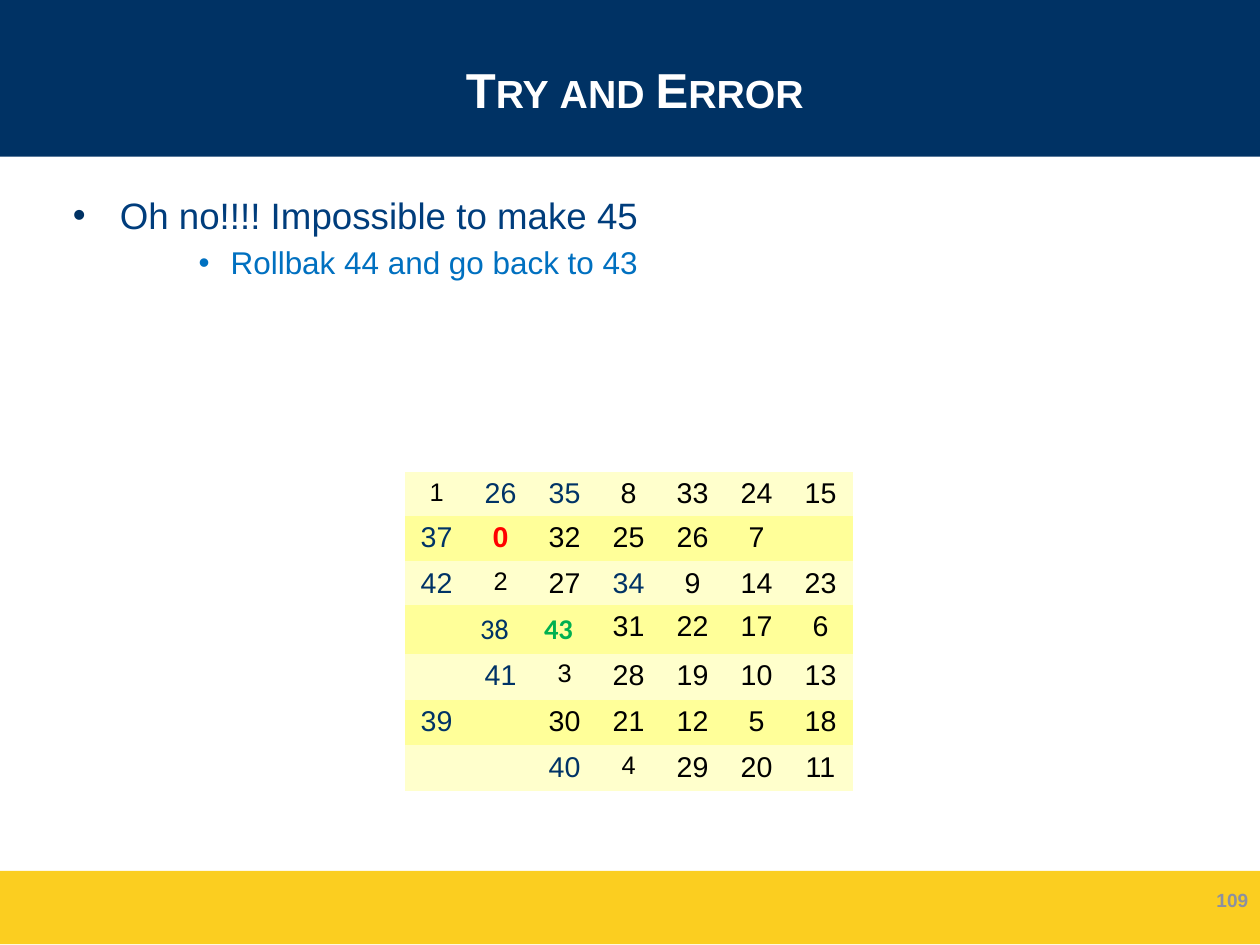
from dataclasses import dataclass

import pptx
import pptx.dml.color
import pptx.enum.shapes
import pptx.enum.text
import pptx.oxml
import pptx.oxml.ns
import pptx.util

Inches = pptx.util.Inches
Pt = pptx.util.Pt
RGBColor = pptx.dml.color.RGBColor
Align = pptx.enum.text.PP_ALIGN
Anchor = pptx.enum.text.MSO_ANCHOR

WHITE = RGBColor(0xFF, 0xFF, 0xFF)
BLACK = RGBColor(0x00, 0x00, 0x00)
NAVY = RGBColor(0x00, 0x32, 0x64)
GOLD = RGBColor(0xFB, 0xCE, 0x20)
BLUE = RGBColor(0x00, 0x3D, 0x7C)
SKY = RGBColor(0x00, 0x70, 0xC0)
GREY = RGBColor(0x8C, 0x90, 0xA0)
INK = RGBColor(0x00, 0x33, 0x66)
RED = RGBColor(0xFF, 0x00, 0x00)
GREEN = RGBColor(0x00, 0xB0, 0x50)
PALE = RGBColor(0xFF, 0xFF, 0xCC)
YELLOW = RGBColor(0xFF, 0xFF, 0x99)

WIDTH, HEIGHT = Pt(793.75), Pt(595.25)
NO_STYLE = "{2D5ABB26-0587-4C30-8999-92F81FD0307C}"


@dataclass
class Band:
    top: float
    height: float
    color: RGBColor


@dataclass
class Style:
    size: float
    color: RGBColor
    bold: bool = False
    face: str = "Arial"


@dataclass
class Bullet:
    text: str
    level: int
    left: float
    hang: float
    before: float
    dot: RGBColor
    style: Style


BANDS = [Band(0, 1.37, NAVY), Band(7.62, 0.64, GOLD)]
BULLETS = [
    Bullet("Oh no!!!! Impossible to make 45", 0, 0.41, 0.41, 0, NAVY,
           Style(23.1, BLUE)),
    Bullet("Rollbak 44 and go back to 43", 2, 1.38, 0.28, 4, SKY,
           Style(19.8, SKY)),
]
PLAIN = Style(18, BLACK)
MARKS = {
    "s": Style(16, BLACK),
    "n": Style(18, INK),
    "r": Style(18, RED, True),
    "c": Style(18, INK, face="Calibri"),
    "g": Style(18, GREEN, True, "Calibri"),
}
GRID = [
    "1s 26n 35n 8 33 24 15",
    "37n 0r 32 25 26 7 -",
    "42n 2s 27 34n 9 14 23",
    "- 38c 43g 31 22 17 6",
    "- 41n 3s 28 19 10 13",
    "39n - 30 21 12 5 18",
    "- - 40n 4s 29 20 11",
]
ROWS = [0.38, 0.4, 0.38, 0.43, 0.4, 0.4, 0.4]


def format_font(font: pptx.text.text.Font, style: Style) -> None:
    font.name = style.face
    font.size = Pt(style.size)
    font.bold = style.bold
    font.color.rgb = style.color


def add_band(slide: pptx.slide.Slide, band: Band) -> None:
    shape = slide.shapes.add_shape(
        pptx.enum.shapes.MSO_SHAPE.RECTANGLE, 0, Inches(band.top),
        WIDTH, Inches(band.height))
    shape.shadow.inherit = False
    shape.fill.solid()
    shape.fill.fore_color.rgb = band.color
    shape.line.fill.background()
    slide.shapes._spTree.insert(2, shape._element)


def set_title(slide: pptx.slide.Slide, text: str) -> None:
    title = slide.shapes.title
    title.left, title.top = Inches(0.54), Inches(0.18)
    title.width, title.height = Inches(10.03), Inches(1.19)
    frame = title.text_frame
    frame.text = text
    frame.vertical_anchor = Anchor.MIDDLE
    para = frame.paragraphs[0]
    para.alignment = Align.CENTER
    format_font(para.font, Style(30.9, WHITE, True))
    para.runs[0]._r.get_or_add_rPr().set("cap", "small")


def add_bullets(slide: pptx.slide.Slide, items: list[Bullet]) -> None:
    box = slide.shapes.add_textbox(
        Inches(0.54), Inches(1.64), Inches(10.03), Inches(6.03))
    frame = box.text_frame
    frame.word_wrap = True
    space = pptx.oxml.ns.nsdecls("a")
    for index, item in enumerate(items):
        para = frame.add_paragraph() if index else frame.paragraphs[0]
        para.text = item.text
        para.level = item.level
        para.space_before = Pt(item.before)
        props = para._p.get_or_add_pPr()
        props.set("marL", str(Inches(item.left)))
        props.set("indent", str(-Inches(item.hang)))
        for xml in (
            f'<a:buClr {space}><a:srgbClr val="{item.dot}"/></a:buClr>',
            f'<a:buFont {space} typeface="Arial"/>',
            f'<a:buChar {space} char="•"/>',
        ):
            props.append(pptx.oxml.parse_xml(xml))
        format_font(para.font, item.style)


def add_number(slide: pptx.slide.Slide, text: str) -> None:
    box = slide.shapes.add_textbox(
        Inches(8.45), Inches(7.66), Inches(2.57), Inches(0.44))
    frame = box.text_frame
    frame.word_wrap = True
    frame.vertical_anchor = Anchor.MIDDLE
    frame.text = text
    para = frame.paragraphs[0]
    para.alignment = Align.RIGHT
    para.line_spacing = 0.93
    format_font(para.font, Style(12, GREY, True))


def fill_cell(cell: pptx.table._Cell, token: str, color: RGBColor) -> None:
    cell.fill.solid()
    cell.fill.fore_color.rgb = color
    if token == "-":
        return
    style = MARKS.get(token[-1], PLAIN)
    cell.text = token.rstrip("".join(MARKS))
    cell.margin_left = cell.margin_right = Inches(0.1)
    cell.margin_top, cell.margin_bottom = Inches(0.07), Inches(0.03)
    para = cell.text_frame.paragraphs[0]
    if style.face == "Arial":
        para.alignment = Align.CENTER
        para.line_spacing = 0.93
    format_font(para.font, style)


def add_grid(slide: pptx.slide.Slide) -> None:
    size = len(GRID)
    table = slide.shapes.add_table(
        size, size, Inches(3.54), Inches(4.13),
        Inches(0.56 * size), Inches(sum(ROWS))).table
    table._tbl.tblPr.find(pptx.oxml.ns.qn("a:tableStyleId")).text = NO_STYLE
    table.first_row = table.horz_banding = False
    for row, line in enumerate(GRID):
        table.rows[row].height = Inches(ROWS[row])
        for col, token in enumerate(line.split()):
            fill_cell(table.cell(row, col), token, YELLOW if row % 2 else PALE)


def main() -> None:
    deck = pptx.Presentation()
    deck.slide_width, deck.slide_height = WIDTH, HEIGHT
    slide = deck.slides.add_slide(deck.slide_layouts[5])
    for band in BANDS:
        add_band(slide, band)
    set_title(slide, "Try and Error")
    add_bullets(slide, BULLETS)
    add_number(slide, "109")
    add_grid(slide)
    deck.save("out.pptx")


if __name__ == "__main__":
    main()
